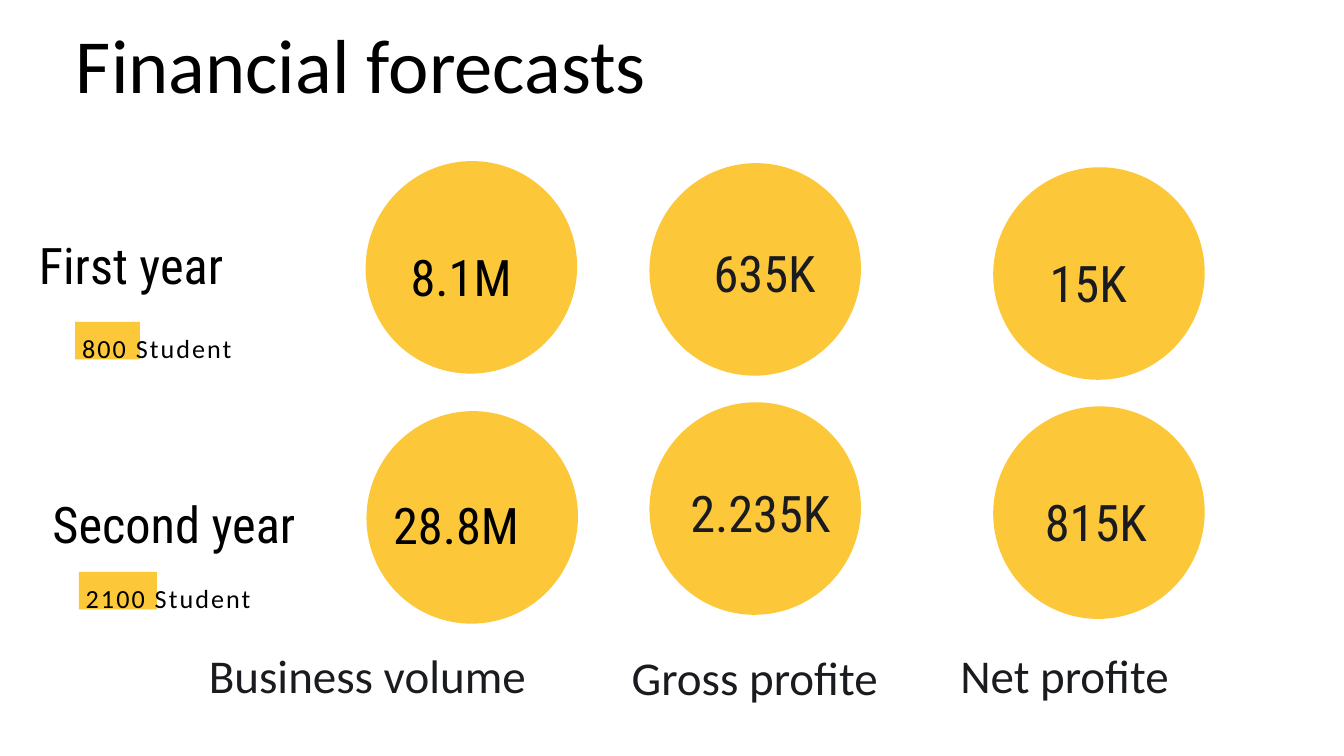
from pptx import Presentation
from pptx.dml.color import RGBColor
from pptx.enum.shapes import MSO_SHAPE
from pptx.enum.text import MSO_ANCHOR, MSO_AUTO_SIZE, PP_ALIGN
from pptx.util import Pt

COLORS = {"gold": "FDC73A", "ink": "1A1B1E", "black": "000000"}
HEAD, BODY = "Roboto Condensed", "Calibri"


def write(shape, text, size=54, font=HEAD, color="black", lead=90.4, track=0):
    """Set one left-aligned line; lead and track are in points."""
    frame = shape.text_frame
    frame.word_wrap = True
    frame.auto_size = MSO_AUTO_SIZE.NONE
    frame.vertical_anchor = MSO_ANCHOR.TOP
    frame.margin_left = frame.margin_right = 0
    frame.margin_top = frame.margin_bottom = 0
    par = frame.paragraphs[0]
    par.alignment = PP_ALIGN.LEFT
    par.line_spacing = Pt(lead)
    par.space_before = Pt(0)
    run = par.add_run()
    run.text = text
    run.font.size = Pt(size)
    run.font.name = font
    run.font.color.rgb = RGBColor.from_string(COLORS[color])
    if track:
        run.font._element.set("spc", str(round(track * 100)))


class Deck:
    """Holds the presentation, its style and the current slide."""

    def __init__(self, wide, high):
        self.prs = Presentation()
        self.prs.slide_width, self.prs.slide_height = Pt(wide), Pt(high)
        self.slide = self.prs.slides.add_slide(self.prs.slide_layouts[5])

    def title(self, text, left, top, wide, high):
        shape = self.slide.shapes.title
        shape.left, shape.top = Pt(left), Pt(top)
        shape.width, shape.height = Pt(wide), Pt(high)
        write(shape, text, size=82, font=BODY, lead=114.8)

    def label(self, text, left, top, wide, high, **style):
        box = self.slide.shapes.add_textbox(
            Pt(left), Pt(top), Pt(wide), Pt(high))
        write(box, text, **style)

    def block(self, kind, left, top, wide, high, turn=0):
        shape = self.slide.shapes.add_shape(
            kind, Pt(left), Pt(top), Pt(wide), Pt(high))
        shape.rotation = turn
        shape.shadow.inherit = False
        shape.fill.solid()
        shape.fill.fore_color.rgb = RGBColor.from_string(COLORS["gold"])
        shape.line.fill.background()

    def year(self, text, left, top, wide):
        self.label(text, left, top, wide, 82)

    def count(self, text, left, top, wide):
        """Student count over a marker that is `wide` across."""
        self.block(MSO_SHAPE.RECTANGLE, left, top, wide, 40.1)
        self.label(text, left + 7.5, top - 2.9, 233.3, 41.8,
                   size=28, font=BODY, lead=47.6, track=2.2)

    def value(self, text, disc, spot, size, color, lead):
        self.block(MSO_SHAPE.OVAL, *disc, 228.2, 226.1, turn=299.4)
        self.label(text, *spot, *size, color=color, lead=lead)

    def column(self, text, left, top, wide):
        self.label(text, left, top, wide, 72,
                   size=50.4, font=BODY, color="ink", lead=75.6)


def main():
    deck = Deck(1440, 810)
    deck.title("Financial forecasts", 81.4, 1.4, 838.8, 110.9)

    dark, soft = ("black", 90.4), ("ink", 90.3)
    values = [
        ("8.1M", (391, 173.4), (440, 238.3), (224, 82), *dark),
        ("635K", (695.1, 175.6), (764.6, 234), (133.2, 82), *soft),
        ("15K", (1063.4, 180), (1124.6, 244.1), (135.4, 82), *soft),
        ("28.8M", (391.9, 441.3), (421.2, 503.3), (224, 82), *dark),
        ("2.235K", (695.1, 431.8), (739.6, 491.4), (182.9, 172.8), *soft),
        ("815K", (1063.4, 436.2), (1119.5, 500.3), (135.4, 82), *soft),
    ]
    for item in values:
        deck.value(*item)

    deck.column("Business volume", 223.8, 677.9, 414.7)
    deck.column("Gross profite", 676.8, 679.7, 347)
    deck.column("Net profite", 1028.9, 677.5, 324.7)

    deck.year("First year", 41.8, 225.4, 224)
    deck.count("800 Student", 80.6, 344.9, 69.3)
    deck.year("Second year", 56.2, 502.6, 302.4)
    deck.count("2100 Student", 84.4, 612.8, 83.6)

    deck.prs.save("out.pptx")


if __name__ == "__main__":
    main()
